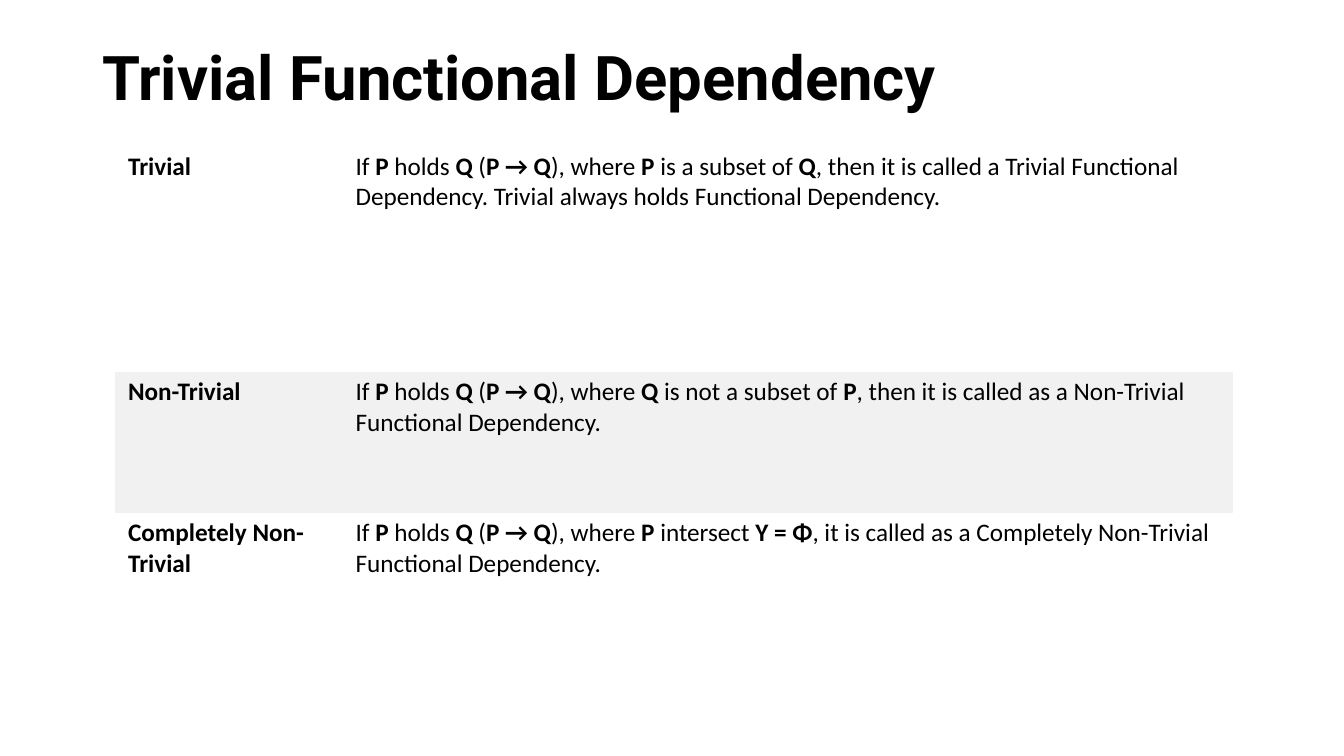
from pptx import Presentation
from pptx.dml.color import RGBColor
from pptx.enum.text import MSO_ANCHOR
from pptx.util import Pt

COLORS = {"text": "000000", "plain": "FFFFFF", "band": "F1F1F1"}
NO_STYLE_NO_GRID = "{2D5ABB26-0587-4C30-8999-92F81FD0307C}"

# Text between asterisks is bold.
DEPENDENCIES = [
    ("*Trivial*",
     "If *P* holds *Q* (*P → Q*), where *P* is a subset of *Q*, then it is called "
     "a Trivial Functional Dependency. Trivial always holds Functional Dependency."),
    ("*Non-Trivial*",
     "If *P* holds *Q* (*P → Q*), where *Q* is not a subset of *P*, then it is called "
     "as a Non-Trivial Functional Dependency."),
    ("*Completely Non-Trivial*",
     "If *P* holds *Q* (*P → Q*), where *P* intersect *Y = Φ*, it is called "
     "as a Completely Non-Trivial Functional Dependency."),
]


class SlideBuilder:
    title_format = {"name": "Roboto", "size": Pt(44)}
    body_format = {"name": "Calibri", "size": Pt(18)}

    def __init__(self, slide):
        self.slide = slide

    def add_marked_text(self, paragraph, marked_text, font_format):
        """Add runs to the paragraph, bold between asterisks."""
        for index, part in enumerate(marked_text.split("*")):
            if not part:
                continue
            run = paragraph.add_run()
            run.text = part
            for attribute, value in {**font_format, "bold": index % 2 == 1}.items():
                setattr(run.font, attribute, value)
            run.font.color.rgb = RGBColor.from_string(COLORS["text"])

    def title(self, marked_text, left, top, width, height):
        heading = self.slide.shapes.add_textbox(Pt(left), Pt(top), Pt(width), Pt(height))
        frame_format = {"word_wrap": True, "vertical_anchor": MSO_ANCHOR.TOP,
                        "margin_top": Pt(5)}
        for attribute, value in frame_format.items():
            setattr(heading.text_frame, attribute, value)
        paragraph = heading.text_frame.paragraphs[0]
        paragraph.line_spacing = 0.9
        self.add_marked_text(paragraph, marked_text, self.title_format)

    def table(self, rows, left, top, widths, heights):
        frame = self.slide.shapes.add_table(
            len(rows), len(widths), Pt(left), Pt(top), Pt(sum(widths)), Pt(sum(heights)))
        definitions = frame.table
        definitions.first_row = definitions.horz_banding = False
        definitions._tbl.tblPr.find("{*}tableStyleId").text = NO_STYLE_NO_GRID
        for column, width in zip(definitions.columns, widths):
            column.width = Pt(width)
        for row_index, (row, height) in enumerate(zip(rows, heights)):
            definitions.rows[row_index].height = Pt(height)
            for column_index, marked_text in enumerate(row):
                self.cell(definitions.cell(row_index, column_index), marked_text,
                          "band" if row_index % 2 else "plain",
                          5 if column_index else 9.5)

    def cell(self, cell, marked_text, fill, left_margin):
        cell.fill.solid()
        cell.fill.fore_color.rgb = RGBColor.from_string(COLORS[fill])
        margins = {"margin_left": left_margin, "margin_right": 5,
                   "margin_top": 3.6, "margin_bottom": 3.6}
        for attribute, value in margins.items():
            setattr(cell, attribute, Pt(value))
        self.add_marked_text(cell.text_frame.paragraphs[0], marked_text, self.body_format)


def main():
    deck = Presentation()
    deck.slide_width, deck.slide_height = Pt(960), Pt(540)
    builder = SlideBuilder(deck.slides.add_slide(deck.slide_layouts[6]))
    builder.title("*Trivial Functional Dependency*", 66, 28.8, 828, 104.4)
    builder.table(DEPENDENCIES, 82, 104.4, widths=(167, 632), heights=(161, 101, 131))
    deck.save("out.pptx")


if __name__ == "__main__":
    main()
